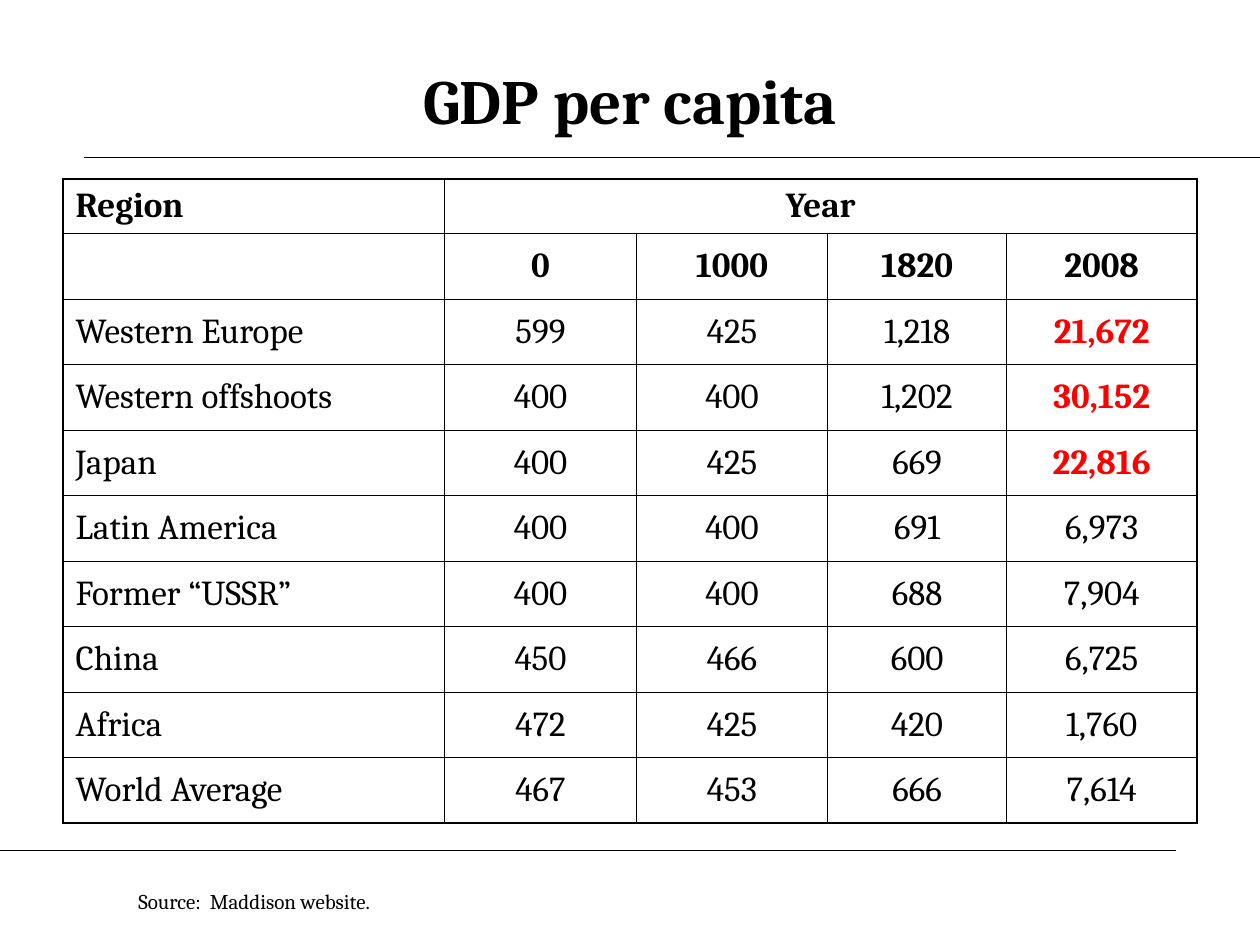
from dataclasses import dataclass

import lxml.etree
import pptx
import pptx.dml.color
import pptx.enum.shapes
import pptx.enum.text
import pptx.oxml.ns
import pptx.util
from pptx.util import Inches


@dataclass(frozen=True)
class Theme:
    font: str = "Cambria"
    ink: str = "000000"
    highlight: str = "FF0000"
    title_size: float = 36
    table_size: float = 20
    source_size: float = 12
    rule_width: float = 0.75
    inner_border: float = 0.45
    outer_border: float = 1.08


theme = Theme()
ALIGN = pptx.enum.text.PP_ALIGN
MIDDLE = pptx.enum.text.MSO_ANCHOR.MIDDLE
qn = pptx.oxml.ns.qn


def write(frame, text, size, align=ALIGN.LEFT, bold=False, color=theme.ink):
    frame.text = text
    para = frame.paragraphs[0]
    para.alignment = align
    para.font.size = pptx.util.Pt(size)
    for span in para.runs:
        span.font.name = theme.font
        span.font.size = pptx.util.Pt(size)
        span.font.bold = bold
        span.font.color.rgb = pptx.dml.color.RGBColor.from_string(color)


def set_border(cell, side, width):
    """Draw one side (L, R, T or B) of a cell; width is in points."""
    line = lxml.etree.SubElement(cell._tc.get_or_add_tcPr(), qn(f"a:ln{side}"))
    line.set("w", str(pptx.util.Pt(width)))
    fill = lxml.etree.SubElement(line, qn("a:solidFill"))
    lxml.etree.SubElement(fill, qn("a:srgbClr")).set("val", theme.ink)


deck = pptx.Presentation()
deck.slide_width, deck.slide_height = Inches(10), Inches(7.5)
page = deck.slides.add_slide(deck.slide_layouts[6])

# Rules above and below the table
for left, right, top in [(0.67, 10, 1.25), (0, 9.33, 6.75)]:
    rule = page.shapes.add_connector(
        pptx.enum.shapes.MSO_CONNECTOR.STRAIGHT,
        Inches(left), Inches(top), Inches(right), Inches(top))
    rule.line.width = pptx.util.Pt(theme.rule_width)
    rule.line.color.rgb = pptx.dml.color.RGBColor.from_string(theme.ink)
    lxml.etree.SubElement(rule._element.spPr, qn("a:effectLst"))

# Title
title = page.shapes.add_textbox(Inches(0.5), Inches(0.33), Inches(9), Inches(0.92))
title.text_frame.word_wrap = True
title.text_frame.vertical_anchor = MIDDLE
write(title.text_frame, "GDP per capita", theme.title_size, ALIGN.CENTER, bold=True)

# GDP table
gdp_rows = [
    ["Region", "Year", "", "", ""],
    ["", "0", "1000", "1820", "2008"],
    ["Western Europe", "599", "425", "1,218", "21,672"],
    ["Western offshoots", "400", "400", "1,202", "30,152"],
    ["Japan", "400", "425", "669", "22,816"],
    ["Latin America", "400", "400", "691", "6,973"],
    ["Former “USSR”", "400", "400", "688", "7,904"],
    ["China", "450", "466", "600", "6,725"],
    ["Africa", "472", "425", "420", "1,760"],
    ["World Average", "467", "453", "666", "7,614"],
]
HEADER_ROWS = 2
highlighted = {"21,672", "30,152", "22,816"}
column_widths = [3.03, 1.52, 1.52, 1.42, 1.51]
row_heights = [0.43] + [0.52] * (len(gdp_rows) - 1)
last_row, last_column = len(gdp_rows) - 1, len(column_widths) - 1

table = page.shapes.add_table(
    len(gdp_rows), len(column_widths),
    Inches(0.5), Inches(1.42), Inches(9), Inches(sum(row_heights))).table
table.first_row = False
table.horz_banding = False
for column, width in zip(table.columns, column_widths):
    column.width = Inches(width)
for row, height in zip(table.rows, row_heights):
    row.height = Inches(height)
table.cell(0, 1).merge(table.cell(0, last_column))

for r, values in enumerate(gdp_rows):
    for c, value in enumerate(values):
        cell = table.cell(r, c)
        cell.vertical_anchor = MIDDLE
        right_column = c + cell.span_width - 1 if cell.is_merge_origin else c
        on_edge = {"L": c == 0, "R": right_column == last_column,
                   "T": r == 0, "B": r == last_row}
        for side, outer in on_edge.items():
            set_border(cell, side, theme.outer_border if outer else theme.inner_border)
        cell.fill.background()
        marked = value in highlighted
        write(cell.text_frame, value, theme.table_size,
              ALIGN.LEFT if c == 0 else ALIGN.CENTER,
              bold=r < HEADER_ROWS or marked,
              color=theme.highlight if marked else theme.ink)

# Source note
source = page.shapes.add_textbox(Inches(1), Inches(7), Inches(7), Inches(0.3))
source.text_frame.word_wrap = True
write(source.text_frame, "Source:  Maddison website.", theme.source_size)

deck.save("out.pptx")
